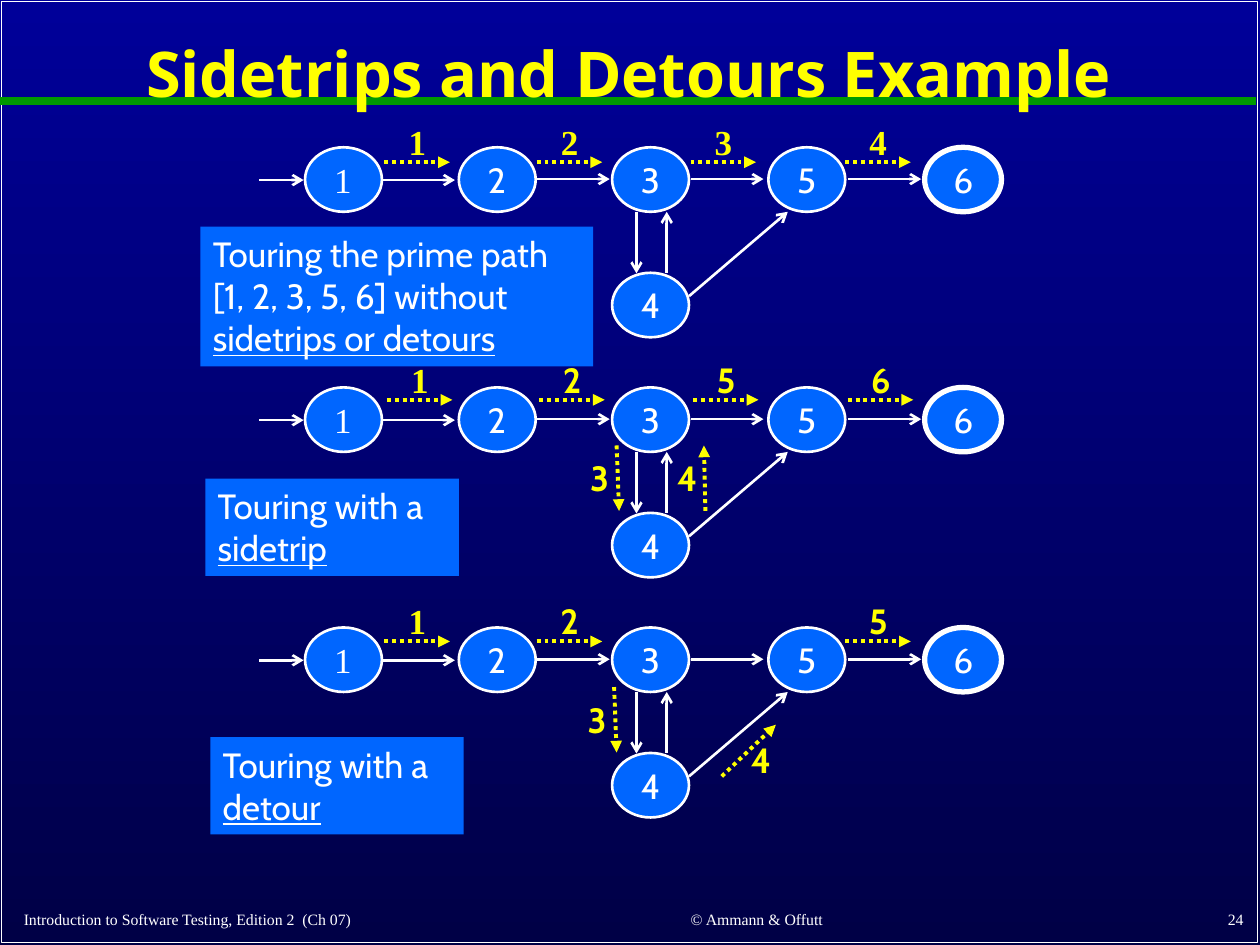
"""Build a slide that compares three tours of one graph."""
from lxml import etree
from pptx import Presentation
from pptx.dml.color import RGBColor
from pptx.enum.dml import MSO_LINE
from pptx.enum.shapes import MSO_CONNECTOR, MSO_SHAPE
from pptx.enum.text import MSO_ANCHOR, MSO_AUTO_SIZE, PP_ALIGN
from pptx.oxml.ns import qn
from pptx.util import Cm, Pt

LEFT, MID, RIGHT = PP_ALIGN.LEFT, PP_ALIGN.CENTER, PP_ALIGN.RIGHT
TOP, CORE, BASE = MSO_ANCHOR.TOP, MSO_ANCHOR.MIDDLE, MSO_ANCHOR.BOTTOM
GROW, FIXED = MSO_AUTO_SIZE.SHAPE_TO_FIT_TEXT, MSO_AUTO_SIZE.NONE
OVAL, RECT = MSO_SHAPE.OVAL, MSO_SHAPE.RECTANGLE
STRAIGHT, DOTS = MSO_CONNECTOR.STRAIGHT, MSO_LINE.ROUND_DOT
WHITE = RGBColor(0xFF, 0xFF, 0xFF)
YELLOW = RGBColor(0xFF, 0xFF, 0x00)
GREEN = RGBColor(0x00, 0x99, 0x00)
BLUE = RGBColor(0x00, 0x66, 0xFF)
NAVY = RGBColor(0x00, 0x00, 0x99)
DARK = RGBColor(0x00, 0x00, 0x46)
SANS, SERIF, HEAD = "Cabin", "Times New Roman", "Open Sans"

TITLE = "Sidetrips and Detours Example"
FOOTERS = [
    ("Introduction to Software Testing, Edition 2  (Ch 07)", LEFT, (0.23, 18.08, 10.46, 0.76)),
    ("© Ammann & Offutt", MID, (11.23, 18.06, 8.05, 0.79)),
    ("24", RIGHT, (20.04, 18.03, 5.28, 0.81)),
]
NODES = {"1": (6.15, 0), "2": (9.25, 0), "3": (12.34, 0),
         "4": (12.34, 2.53), "5": (15.49, 0), "6": (18.64, 0)}
EDGES = [
    (5.23, 0.66, 6.12, 0.66), (7.7, 0.66, 9.17, 0.66),
    (10.82, 0.64, 12.29, 0.64), (13.92, 0.64, 15.39, 0.64),
    (17.09, 0.64, 18.57, 0.64), (12.83, 1.3, 12.83, 2.54),
    (13.44, 2.53, 13.44, 1.3), (13.89, 3, 15.88, 1.3),
]
ACROSS = (1.32, 0, 0.17, -0.96)
SPOTS = {
    "1-2": (7.75, 0.3, *ACROSS), "2-3": (10.82, 0.3, *ACROSS),
    "3-5": (13.92, 0.3, *ACROSS), "5-6": (17.04, 0.3, *ACROSS),
    "3-4": (12.38, 1.22, 0.05, 1.32, -0.84, 0.1),
    "4-3": (14.17, 2.54, -0.03, -1.32, -0.86, -1.22),
    "4-5": (14.55, 3.02, 1.09, -1.04, 0.3, -0.89),
}
TOURS = [
    {"steps": ["1-2", "2-3", "3-5", "5-6"], "shift": (0, 0), "serif": "1234",
     "note": ("Touring the prime path [1, 2, 3, 5, 6] without ", "sidetrips or detours"),
     "box": (4.04, 4.57, 7.92, 2.82)},
    {"steps": ["1-2", "2-3", "3-4", "4-3", "3-5", "5-6"], "shift": (0.05, -0.05), "serif": "1",
     "note": ("Touring with a ", "sidetrip"), "box": (4.14, 9.65, 5.11, 1.96)},
    {"steps": ["1-2", "2-3", "3-4", "4-5", "5-6"], "shift": (0, -0.02), "serif": "1",
     "note": ("Touring with a ", "detour"), "box": (4.24, 14.86, 5.11, 1.96)},
]
START, PITCH = 2.97, 4.84


def write(shape, text, under="", font=SANS, size=20, color=WHITE, bold=False,
          align=LEFT, anchor=TOP, wrap=True, fit=GROW):
    frame = shape.text_frame
    frame.word_wrap, frame.auto_size = wrap, fit
    frame.vertical_anchor = anchor
    para = frame.paragraphs[0]
    para.alignment = align
    for part, line in ((text, False), (under, True)):
        if part:
            run = para.add_run()
            run.text = part
            run.font.name, run.font.size = font, Pt(size)
            run.font.bold, run.font.underline = bold, line
            run.font.color.rgb = color
    return para


def label(host, box, text, **style):
    return write(host.add_textbox(*map(Cm, box)), text, **style)


def draw(host, kind, box, fill=None, width=0):
    shape = host.add_shape(kind, *map(Cm, box))
    shape.shadow.inherit = False
    if fill is None:
        shape.fill.background()
    else:
        shape.fill.solid()
        shape.fill.fore_color.rgb = fill
    if width:
        shape.line.color.rgb, shape.line.width = WHITE, Pt(width)
    else:
        shape.line.fill.background()
    return shape


def link(host, ends, color=WHITE, width=1.5, tip="arrow", dash=None):
    line = host.add_connector(STRAIGHT, *map(Cm, ends))
    line.line.color.rgb, line.line.width = color, Pt(width)
    if dash:
        line.line.dash_style = dash
    props = line.element.spPr
    if tip:
        etree.SubElement(props.find(qn("a:ln")), qn("a:tailEnd"), type=tip)
    etree.SubElement(props, qn("a:effectLst"))


deck = Presentation()
deck.slide_width, deck.slide_height = Cm(25.4), Cm(19.05)
slide = deck.slides.add_slide(deck.slide_layouts[5])
shapes = slide.shapes
back = slide.background.fill
back.gradient()
back.gradient_angle = 270
for stop, color in zip(back.gradient_stops, (NAVY, DARK)):
    stop.color.rgb = color

draw(shapes, RECT, (0.03, 0.03, 25.32, 18.97), width=1)
link(shapes, (0, 2.03, 25.32, 2.03), GREEN, 4.5, tip=None)
for text, align, box in FOOTERS:
    label(shapes, box, text, font=SERIF, size=9, align=align, anchor=BASE, fit=FIXED)

title = shapes.title
title.left, title.top, title.width, title.height = map(Cm, (0.23, 0.28, 24.89, 2.54))
write(title, TITLE, font=HEAD, size=36, color=YELLOW, bold=True,
      align=MID, anchor=CORE, fit=FIXED).line_spacing = 0.9
title.element.getparent().append(title.element)

for row, tour in enumerate(TOURS):
    top = START + row * PITCH
    graph = shapes.add_group_shape().shapes
    for name, (x, y) in NODES.items():
        draw(graph, OVAL, (x, top + y, 1.55, 1.3), BLUE, 3 if name == "6" else 1.5)
        label(graph, (x + 0.33, top + y + 0.1, 0.86, 1.12), name, wrap=False,
              font=SERIF if name == "1" else SANS, align=RIGHT if name in "14" else LEFT)
    for x, y, right, end in EDGES:
        link(graph, (x, top + y, right, top + end))
    for count, step in enumerate(tour["steps"], 1):
        x, y, run, rise, over, down = SPOTS[step]
        x, y = x + tour["shift"][0], y + top + tour["shift"][1]
        hop = shapes.add_group_shape().shapes
        link(hop, (x, y, x + run, y + rise), YELLOW, 2.25, "triangle", DOTS)
        label(hop, (x + over, y + down, 0.99, 1.09), str(count), color=YELLOW, bold=True,
              font=SERIF if str(count) in tour["serif"] else SANS, align=MID)
    write(draw(shapes, RECT, tour["box"], BLUE), *tour["note"])

deck.save("out.pptx")
